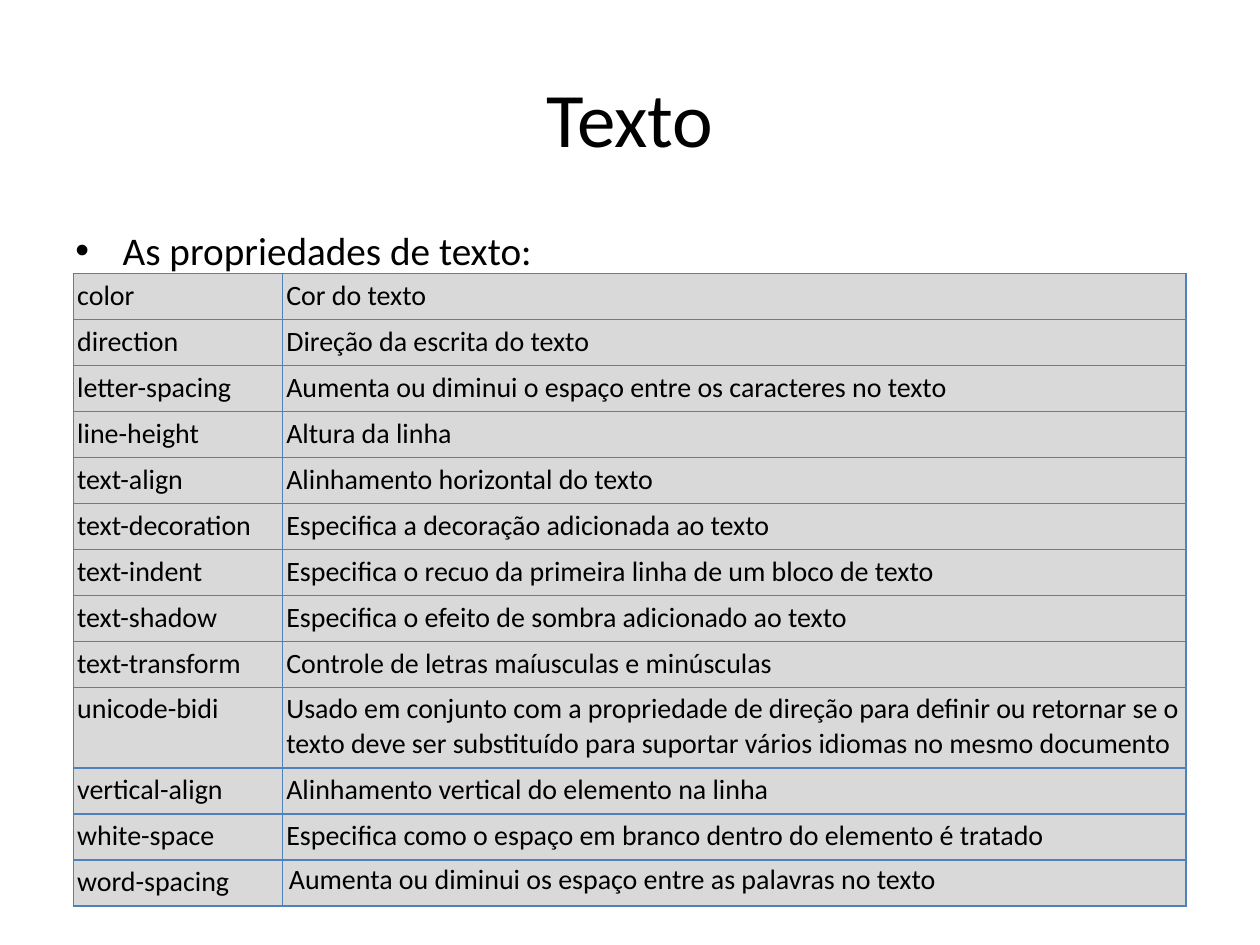
from pptx import Presentation
from pptx.dml.color import RGBColor as Color
from pptx.enum.text import MSO_ANCHOR as Anchor, PP_ALIGN as Align
from pptx.oxml import parse_xml
from pptx.oxml.ns import nsdecls
from pptx.util import Inches, Pt

COLORS = {"text": "000000", "cell": "D9D9D9", "border": "4F81BD"}
PROPERTIES = [
    ("color", "Cor do texto"),
    ("direction", "Direção da escrita do texto"),
    ("letter-spacing", "Aumenta ou diminui o espaço entre os caracteres no texto"),
    ("line-height", "Altura da linha"),
    ("text-align", "Alinhamento horizontal do texto"),
    ("text-decoration", "Especifica a decoração adicionada ao texto"),
    ("text-indent", "Especifica o recuo da primeira linha de um bloco de texto"),
    ("text-shadow", "Especifica o efeito de sombra adicionado ao texto"),
    ("text-transform", "Controle de letras maíusculas e minúsculas"),
    ("unicode-bidi", "Usado em conjunto com a propriedade de direção para definir ou "
     "retornar se o texto deve ser substituído para suportar vários idiomas no mesmo documento"),
    ("vertical-align", "Alinhamento vertical do elemento na linha"),
    ("white-space", "Especifica como o espaço em branco dentro do elemento é tratado"),
    ("word-spacing", "Aumenta ou diminui os espaço entre as palavras no texto"),
]

deck = Presentation()
deck.slide_width, deck.slide_height = Inches(10), Inches(7.5)
page = deck.slides.add_slide(deck.slide_layouts[6])

# Page grid: 100 columns by 75 rows
COL, ROW = deck.slide_width / 100, deck.slide_height / 75


def place(left, top, width, height):
    return int(left * COL), int(top * ROW), int(width * COL), int(height * ROW)


def write(frame, text, size=16, align=Align.LEFT, anchor=Anchor.TOP, bullet=None, indent=0):
    frame.word_wrap = True
    frame.vertical_anchor = anchor
    para = frame.paragraphs[0]
    para.alignment = align
    if bullet:
        props = para._p.get_or_add_pPr()
        props.set("marL", str(int(indent)))
        props.set("indent", str(-int(indent)))
        props.append(parse_xml(f'<a:buFont {nsdecls("a")} typeface="Arial"/>'))
        props.append(parse_xml(f'<a:buChar {nsdecls("a")} char="{bullet}"/>'))
    span = para.add_run()
    span.text = text
    span.font.size = Pt(size)
    span.font.name = "Calibri"
    span.font.color.rgb = Color.from_string(COLORS["text"])


# Title and lead-in bullet
title = page.shapes.add_textbox(*place(5, 3, 90, 12.5))
write(title.text_frame, "Texto", size=44, align=Align.CENTER, anchor=Anchor.MIDDLE)
lead = page.shapes.add_textbox(*place(5, 17.5, 90, 4.2))
write(lead.text_frame, "As propriedades de texto:", size=22.4, bullet="•", indent=3.75 * COL)

# Property table: equal rows, with one taller row for the two-line text
LINE_ROW, TALL_ROW = 3.65, 6.4
heights = [TALL_ROW if name == "unicode-bidi" else LINE_ROW for name, _ in PROPERTIES]
table = page.shapes.add_table(
    len(PROPERTIES), 2, *place(5.83, 21.7, 88.3, sum(heights))).table
table.first_row = table.horz_banding = False
for column, width in zip(table.columns, (16.6, 71.7)):
    column.width = int(width * COL)

for row, height, texts in zip(table.rows, heights, PROPERTIES):
    row.height = int(height * ROW)
    for cell, text in zip(row.cells, texts):
        last = text == PROPERTIES[-1][1]
        side, edge = (0.5, 0.2) if last else (0.3, 0.4)
        cell.margin_left = cell.margin_right = int(side * COL)
        cell.margin_top = cell.margin_bottom = int(edge * ROW)
        write(cell.text_frame, text)
        # Borders go before the fill in the cell properties
        for border in ("lnL", "lnR", "lnT", "lnB"):
            cell._tc.get_or_add_tcPr().append(parse_xml(
                f'<a:{border} {nsdecls("a")} w="{Pt(1)}"><a:solidFill>'
                f'<a:srgbClr val="{COLORS["border"]}"/></a:solidFill></a:{border}>'))
        cell.fill.solid()
        cell.fill.fore_color.rgb = Color.from_string(COLORS["cell"])

deck.save("out.pptx")
